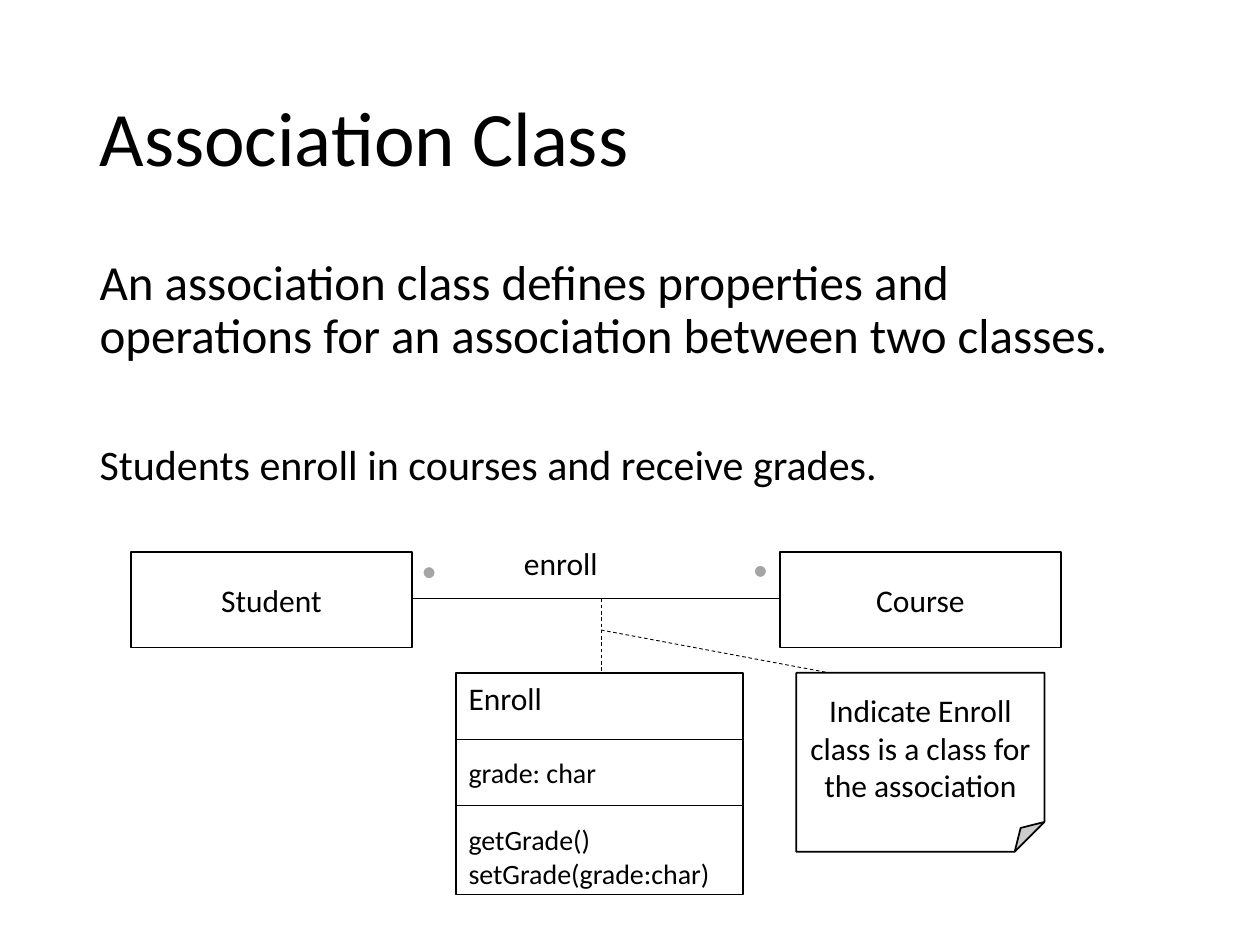
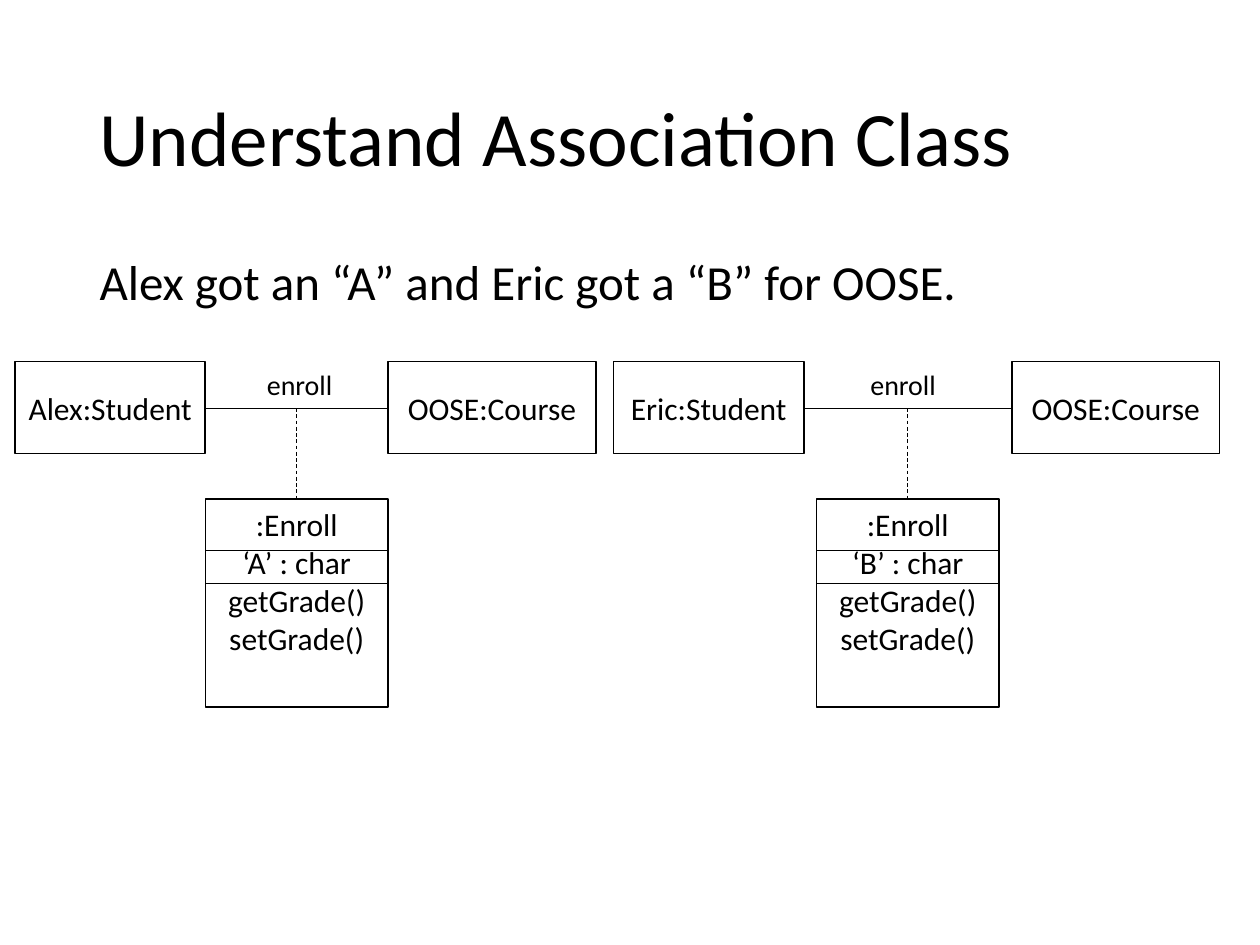
from pptx import Presentation
from pptx.dml.color import RGBColor
from pptx.enum.dml import MSO_LINE
from pptx.enum.shapes import MSO_CONNECTOR, MSO_SHAPE
from pptx.enum.text import MSO_ANCHOR, PP_ALIGN
from pptx.oxml.ns import qn
from pptx.util import Inches, Pt
from lxml.etree import SubElement

BLACK = RGBColor(0x00, 0x00, 0x00)
WHITE = RGBColor(0xFF, 0xFF, 0xFF)
GRAY = RGBColor(0xA5, 0xA5, 0xA5)
FONT = "Calibri"

# Content: paragraphs are (text, size, space before in points)
DEFINITION_TITLE = "Association Class"
DEFINITION_BODY = [
    ("An association class defines properties and operations "
     "for an association between two classes.", 28, 10),
    ("Students enroll in courses and receive grades.", 24, 46),
]
ENROLL_MEMBERS = [
    ("Enroll", 18, 0),
    ("grade: char", 16, 22),
    ("getGrade()", 16, 19.5),
    ("setGrade(grade:char)", 16, 0),
]
NOTE = "Indicate Enroll class is a class for the association"

EXAMPLE_TITLE = "Understand Association Class"
EXAMPLE_BODY = [("Alex got an “A” and Eric got a “B” for OOSE.", 28, 10)]
# Student, grade, then left edges of student, course and link label
ENROLLMENTS = [
    ("Alex", "A", 0.12, 3.08, 2.02),
    ("Eric", "B", 4.87, 8.03, 6.81),
]


def write(text_frame, paragraphs, align=PP_ALIGN.LEFT, anchor=MSO_ANCHOR.TOP):
    text_frame.word_wrap = True
    text_frame.vertical_anchor = anchor
    for index, (text, size, space_before) in enumerate(paragraphs):
        paragraph = text_frame.paragraphs[0] if index == 0 else text_frame.add_paragraph()
        paragraph.text = text
        paragraph.alignment = align
        paragraph.space_before = Pt(space_before)
        paragraph.font.name = FONT
        paragraph.font.size = Pt(size)
        paragraph.font.color.rgb = BLACK


def place(shape, left, top, width, height):
    shape.left, shape.top = Inches(left), Inches(top)
    shape.width, shape.height = Inches(width), Inches(height)


def add_slide(presentation, title_text, body_paragraphs):
    slide = presentation.slides.add_slide(presentation.slide_layouts[1])
    title, body = slide.placeholders
    place(title, 0.69, 0.4, 8.62, 1.45)
    place(body, 0.69, 2, 8.62, 4.76)
    write(title.text_frame, [(title_text, 44, 0)], anchor=MSO_ANCHOR.MIDDLE)
    write(body.text_frame, body_paragraphs)
    for paragraph in [*title.text_frame.paragraphs, *body.text_frame.paragraphs]:
        paragraph.line_spacing = 0.9
    # Body text has neither bullets nor indents
    for paragraph in body.text_frame.paragraphs:
        properties = paragraph._p.get_or_add_pPr()
        properties.set("marL", "0")
        properties.set("indent", "0")
        SubElement(properties, qn("a:buNone"))
    return slide


def add_box(slide, left, top, width, height, kind=MSO_SHAPE.RECTANGLE,
            fill=WHITE, line=BLACK, weight=1):
    box = slide.shapes.add_shape(
        kind, Inches(left), Inches(top), Inches(width), Inches(height))
    box.shadow.inherit = False
    box.fill.solid()
    box.fill.fore_color.rgb = fill
    box.line.color.rgb = line
    box.line.width = Pt(weight)
    return box


def add_centered_box(slide, text, *bounds, kind=MSO_SHAPE.RECTANGLE):
    box = add_box(slide, *bounds, kind=kind)
    write(box.text_frame, [(text, 18, 0)], PP_ALIGN.CENTER, MSO_ANCHOR.MIDDLE)


def add_line(slide, x1, y1, x2, y2, dashed=False):
    connector = slide.shapes.add_connector(
        MSO_CONNECTOR.STRAIGHT, Inches(x1), Inches(y1), Inches(x2), Inches(y2))
    connector.line.color.rgb = BLACK
    connector.line.width = Pt(0.5)
    if dashed:
        connector.line.dash_style = MSO_LINE.DASH
    SubElement(connector._element.spPr, qn("a:effectLst"))


def add_class(slide, left, top, width, height, members, dividers, align):
    box = add_box(slide, left, top, width, height)
    write(box.text_frame, members, align)
    for y in dividers:
        add_line(slide, left, y, left + width, y)


def add_label(slide, text, size, left, top, width, height):
    label = slide.shapes.add_textbox(
        Inches(left), Inches(top), Inches(width), Inches(height))
    write(label.text_frame, [(text, size, 0)])


def build_definition(presentation):
    slide = add_slide(presentation, DEFINITION_TITLE, DEFINITION_BODY)
    box_top, box_width, box_height = 4.38, 2.23, 0.76
    student_left, course_left = 1.04, 6.19
    link_x, link_y, class_top = 4.77, 4.75, 5.34

    # Two classes and their association class
    for text, left in (("Student", student_left), ("Course", course_left)):
        add_centered_box(slide, text, left, box_top, box_width, box_height)
    add_class(slide, 3.62, class_top, 2.28, 1.76, ENROLL_MEMBERS,
              (5.87, 6.39), PP_ALIGN.LEFT)
    add_line(slide, student_left + box_width, link_y, course_left, link_y)
    add_line(slide, link_x, link_y, link_x, class_top, dashed=True)
    add_label(slide, "enroll", 18, 4.06, 4.27, 1.38, 0.4)

    # Note on the dashed link
    add_centered_box(slide, NOTE, 6.32, class_top, 1.97, 1.42,
                     kind=MSO_SHAPE.FOLDED_CORNER)
    add_line(slide, link_x, 5, 6.58, class_top, dashed=True)

    # Multiplicity dots
    for left, top in ((3.35, 4.49), (5.98, 4.48)):
        add_box(slide, left, top, 0.11, 0.11, MSO_SHAPE.OVAL, GRAY, WHITE, 1.5)


def build_example(presentation):
    slide = add_slide(presentation, EXAMPLE_TITLE, EXAMPLE_BODY)
    box_top, box_height = 2.87, 0.73
    student_width, course_width, class_width = 1.51, 1.65, 1.45
    link_y, class_top = 3.24, 3.96

    for student, grade, student_left, course_left, label_left in ENROLLMENTS:
        # Objects joined by a link
        link_left = student_left + student_width
        link_x = (link_left + course_left) / 2
        add_centered_box(slide, f"{student}:Student", student_left, box_top,
                         student_width, box_height)
        add_centered_box(slide, "OOSE:Course", course_left, box_top,
                         course_width, box_height)
        add_line(slide, link_left, link_y, course_left, link_y)
        add_label(slide, "enroll", 16, label_left, box_top, 0.74, 0.37)

        # Enrollment object centred under the link
        members = (":Enroll", f"‘{grade}’ : char", "getGrade()", "setGrade()")
        add_class(slide, link_x - class_width / 2, class_top, class_width, 1.65,
                  [(member, 18, 0) for member in members],
                  (4.37, 4.63), PP_ALIGN.CENTER)
        add_line(slide, link_x, link_y, link_x, class_top, dashed=True)


def main():
    presentation = Presentation()
    presentation.slide_width = Inches(10)
    presentation.slide_height = Inches(7.5)
    build_definition(presentation)
    build_example(presentation)
    presentation.save("out.pptx")


if __name__ == "__main__":
    main()
